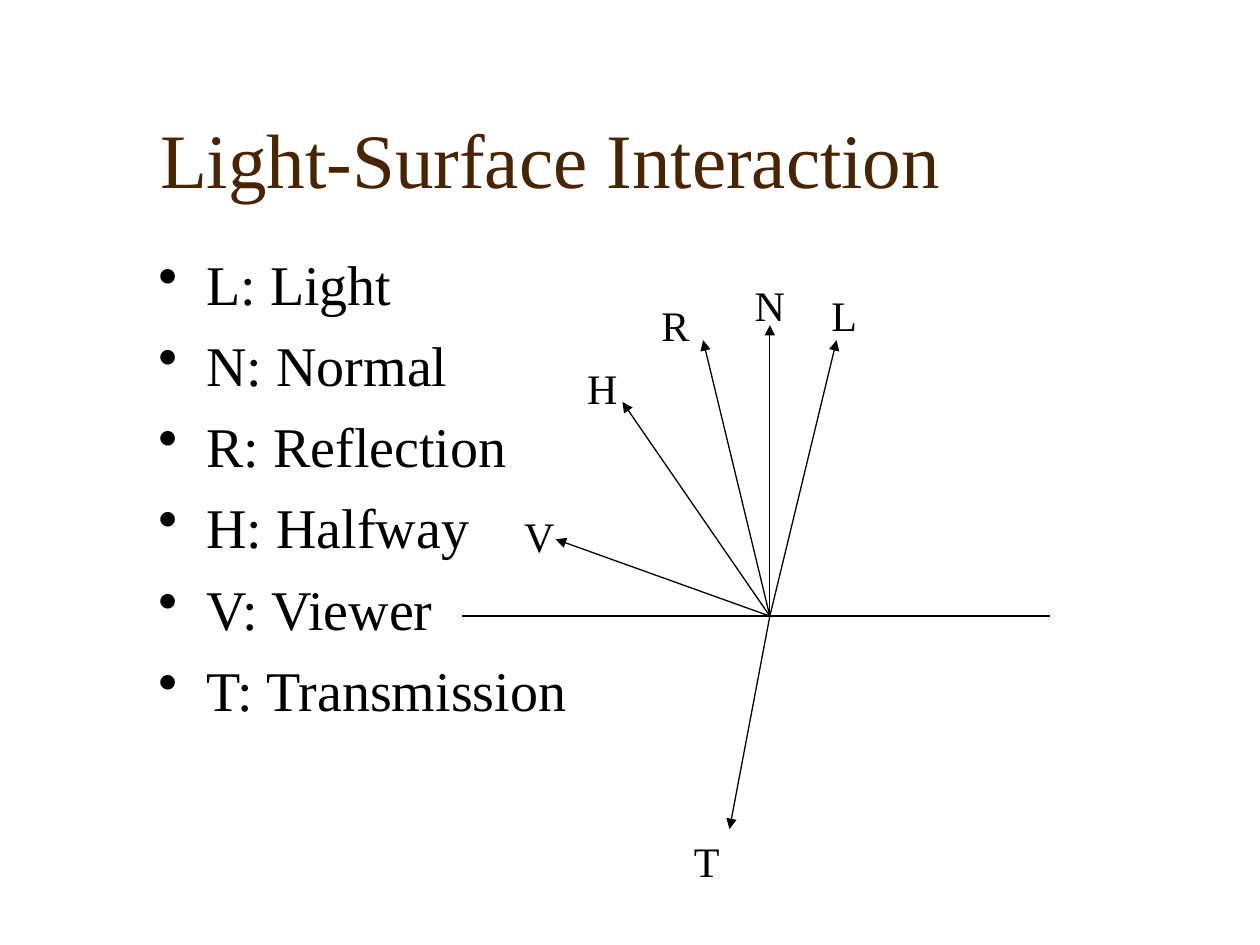
import lxml.etree
import pptx
import pptx.dml.color
import pptx.enum.shapes
import pptx.enum.text
import pptx.oxml.ns
import pptx.util
from pptx.util import Inches

BROWN = pptx.dml.color.RGBColor(0x48, 0x24, 0x00)
BLACK = pptx.dml.color.RGBColor(0x00, 0x00, 0x00)
FONT = "Times New Roman"

HIT_POINT = (6.11, 4.89)
SURFACE = ((3.67, 4.89), (8.33, 4.89))
# name, meaning, arrow tip, top left of label
VECTORS = [
    ("L", "Light", (6.64, 2.7), (6.42, 2.25)),
    ("N", "Normal", (6.11, 2.58), (5.83, 2.17)),
    ("R", "Reflection", (5.58, 2.7), (5.08, 2.33)),
    ("H", "Halfway", (4.94, 3.19), (4.5, 2.83)),
    ("V", "Viewer", (4.41, 4.28), (4, 4)),
    ("T", "Transmission", (5.79, 6.58), (5.33, 6.58)),
]


def add_child(parent, tag, **attributes):
    return lxml.etree.SubElement(parent, pptx.oxml.ns.qn(tag), attributes)


def format_paragraph(p, size, color):
    p.font.name = FONT
    p.font.size = pptx.util.Pt(size)
    p.font.color.rgb = color


def set_title(slide, text):
    sp = slide.shapes.title
    sp.left, sp.top = Inches(1.17), Inches(0.42)
    sp.width, sp.height = Inches(8.5), Inches(1.25)
    tf = sp.text_frame
    tf.text = text
    tf.vertical_anchor = pptx.enum.text.MSO_ANCHOR.BOTTOM
    p = tf.paragraphs[0]
    p.alignment = pptx.enum.text.PP_ALIGN.LEFT
    format_paragraph(p, 44, BROWN)


def add_line(slide, start, end, arrow=False):
    ends = [Inches(n) for n in start + end]
    line = slide.shapes.add_connector(
        pptx.enum.shapes.MSO_CONNECTOR.STRAIGHT, *ends)
    line.line.color.rgb = BLACK
    line.line.width = pptx.util.Pt(0.75)
    spPr = line._element.spPr
    if arrow:
        add_child(spPr.find(pptx.oxml.ns.qn("a:ln")), "a:tailEnd", type="triangle")
    add_child(spPr, "a:effectLst")


def add_text_box(slide, left, top, width, height):
    box = slide.shapes.add_textbox(
        Inches(left), Inches(top), Inches(width), Inches(height))
    box.text_frame.word_wrap = True
    return box.text_frame


def add_label(slide, text, position):
    tf = add_text_box(slide, *position, 0.56, 0.5)
    tf.text = text
    p = tf.paragraphs[0]
    p.alignment = pptx.enum.text.PP_ALIGN.CENTER
    p.space_before = pptx.util.Pt(15)
    format_paragraph(p, 24, BLACK)


def add_bullets(slide, items):
    tf = add_text_box(slide, 1.16, 1.93, 8.5, 4.5)
    tf.text = "\n".join(items)
    indent = Inches(0.38)
    for p in tf.paragraphs:
        p.space_before = pptx.util.Pt(8)
        pPr = p._p.get_or_add_pPr()
        pPr.set("marL", str(indent))
        pPr.set("indent", str(-indent))
        add_child(pPr, "a:buChar", char="•")
        format_paragraph(p, 32, BLACK)


def main():
    prs = pptx.Presentation()
    prs.slide_width, prs.slide_height = Inches(10), Inches(7.5)
    slide = prs.slides.add_slide(prs.slide_layouts[5])
    set_title(slide, "Light-Surface Interaction")
    add_line(slide, *SURFACE)
    for name, _, tip, position in VECTORS:
        add_line(slide, HIT_POINT, tip, arrow=True)
        add_label(slide, name, position)
    add_bullets(slide, [f"{name}: {meaning}" for name, meaning, *_ in VECTORS])
    prs.save("out.pptx")


if __name__ == "__main__":
    main()
